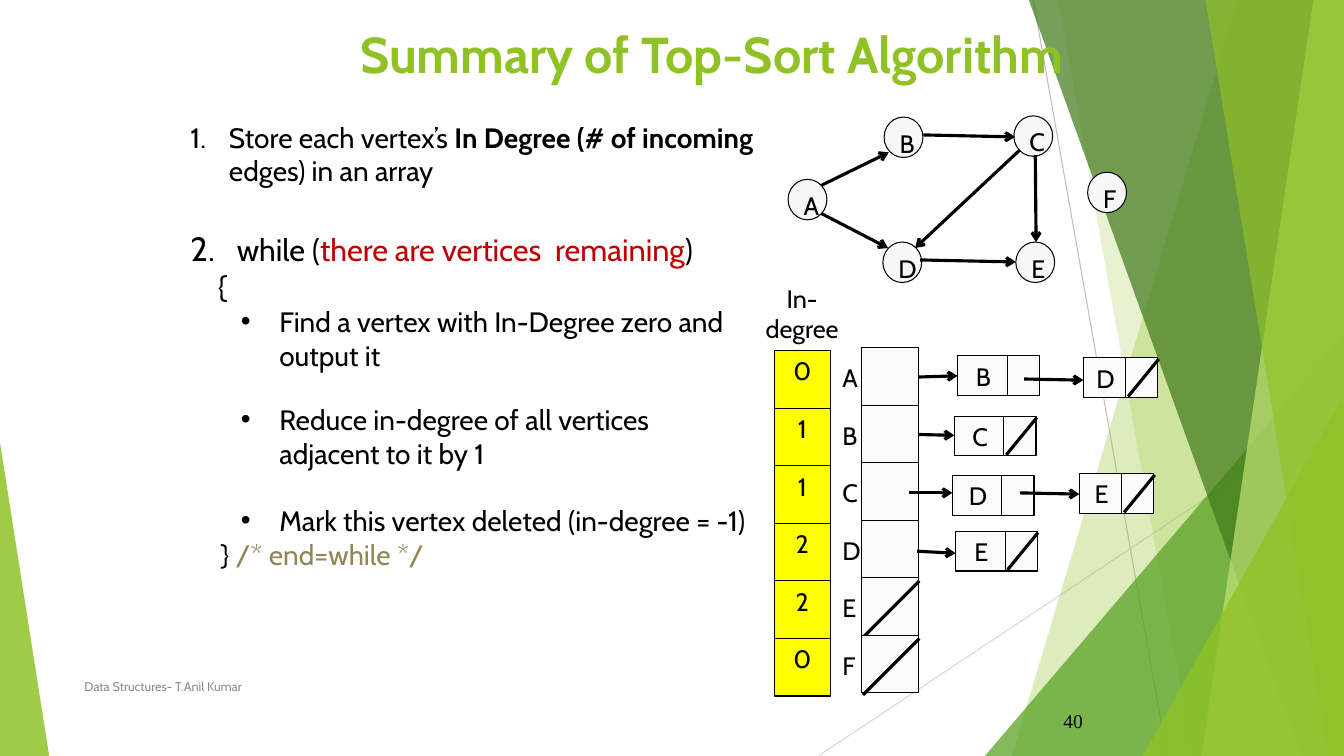
import dataclasses
import itertools

import pptx
import pptx.dml.color
import pptx.enum.shapes
import pptx.enum.text
import pptx.oxml.ns
import pptx.util
from lxml import etree

Cm = pptx.util.Cm
Pt = pptx.util.Pt
SHAPE = pptx.enum.shapes.MSO_SHAPE
ALIGN = pptx.enum.text.PP_ALIGN
ANCHOR = pptx.enum.text.MSO_ANCHOR


@dataclasses.dataclass(frozen=True)
class Theme:
    font: str = "Cabin"
    number_font: str = "Times New Roman"
    ink: str = "000000"
    green: str = "90C226"
    mid_green: str = "54A021"
    dark_green: str = "3F7819"
    pale_green: str = "C0E474"
    red: str = "C00000"
    olive: str = "918655"
    grey: str = "8C8C8C"
    vertex: str = "F7F7F7"
    cell: str = "FBFBFB"
    yellow: str = "FFFF00"
    title_size: float = 36
    loop_size: float = 22
    body_size: float = 20
    label_size: float = 18
    number_size: float = 14
    footer_size: float = 9
    thin: float = 0.75
    thick: float = 2.25


THEME = Theme()
WIDTH, HEIGHT = 33.87, 19.05

# All positions and lengths below are in centimetres.
BACK_LINES = [((26.04, 0), (29.41, HEIGHT), "BFBFBF"), ((WIDTH, 10.24), (20.62, HEIGHT), "D9D9D9")]
# Bands: top x, bottom x. Triangles: left, top, width, apex. Then colour and opacity in percent.
BACKDROP = [
    ((31.19, 25.5), THEME.green, 30),
    ((26.67, 30.05), THEME.green, 20),
    ((24.82, 8.46, 9.04, 1), THEME.mid_green, 72),
    ((25.93, 32.79), THEME.dark_green, 70),
    ((33.1, 30.28), THEME.pale_green, 70),
    ((30.38, 33.48), THEME.green, 65),
    ((28.8, 9.98, 5.06, 1), THEME.green, 80),
    ((0, 11.15, 1.24, 0), THEME.green, 85),
]

TITLE = "Summary of Top-Sort Algorithm"
FOOTER = "Data Structures- T.Anil Kumar"
PAGE = "40"

# Each step: bullet, left margin, first-line indent, space before (points), size, runs.
STEPS = [
    (1, 0.97, -0.97, 0, THEME.body_size,
     [("Store each vertex’s ", {}), ("In Degree (# of incoming ", {"bold": True}),
      ("edges) in an array", {})]),
    (2, 1.17, -1.17, 31, THEME.loop_size,
     [("while (", {}), ("there are vertices  remaining", {"color": THEME.red}), (")", {})]),
    (None, 0.69, 0, 0, THEME.loop_size, [("{", {})]),
    ("•", 2.24, -0.97, 0, THEME.body_size, [("Find a vertex with In-Degree zero and output it", {})]),
    ("•", 2.24, -0.97, 22, THEME.body_size,
     [("Reduce in-degree of all vertices adjacent to it by 1", {})]),
    ("•", 2.24, -0.97, 24, THEME.body_size, [("Mark this vertex deleted (in-degree = -1)", {})]),
    (None, 0.77, 0, 0, THEME.body_size, [("} ", {}), ("/* end=while */", {"color": THEME.olive})]),
]

VERTICES = {"A": (19.86, 4.52), "B": (22.28, 2.95), "C": (25.55, 2.92),
            "D": (22.25, 6.1), "F": (27.41, 4.34), "E": (25.6, 6.1)}
EDGES = [((20.7, 4.67), (22.4, 3.84)), ((23.27, 3.4), (25.58, 3.45)), ((26.09, 3.91), (26.11, 6.1)),
         ((20.7, 5.38), (22.38, 6.25)), ((23.19, 6.55), (25.6, 6.6)), ((25.7, 3.78), (23.06, 6.25))]

# Vertex, in-degree, chain of (letter, left, top, arrow start, height of arrow end).
ADJACENCY = [
    ("A", "0", [("B", 24.13, 8.97, (23.16, 9.5), 9.47), ("D", 27.3, 9.02, (25.81, 9.55), 9.58)]),
    ("B", "1", [("C", 24.05, 10.49, (23.16, 10.95), 10.97)]),
    ("C", "1", [("D", 24, 11.99, (22.91, 12.42), 12.42), ("E", 27.2, 11.94, (25.7, 12.42), 12.45)]),
    ("D", "2", [("E", 24.08, 13.39, (23.11, 13.89), 13.94)]),
    ("E", "2", []),
    ("F", "0", []),
]
ROW, COLUMN = 1.45, 1.42
ARRAY_LEFT, ARRAY_TOP = 21.72, 8.76
DEGREE_LEFT, DEGREE_TOP = 19.51, 8.84
LABEL_LEFT, LABEL_TOP = 20.98, 9.01
KEY_WIDTHS, POINTER, NODE_HEIGHT = (1.3, 1.12), 0.81, 1


def rgb(value):
    return pptx.dml.color.RGBColor.from_string(value)


def add_element(parent, tag, **attributes):
    return etree.SubElement(parent, pptx.oxml.ns.qn(tag), attributes)


def add_run(paragraph, text, color=THEME.ink, **font_values):
    run = paragraph.add_run()
    run.text = text
    values = {"name": THEME.font, "size": Pt(THEME.label_size), "bold": False, **font_values}
    for name, value in values.items():
        setattr(run.font, name, value)
    run.font.color.rgb = rgb(color)


def fill_shape(shape, color, line=None, opacity=None):
    shape.shadow.inherit = False
    shape.fill.solid()
    shape.fill.fore_color.rgb = rgb(color)
    if opacity:
        solid = shape.element.spPr.find(pptx.oxml.ns.qn("a:solidFill"))
        add_element(solid[0], "a:alpha", val=str(opacity * 1000))
    if line:
        shape.line.color.rgb = rgb(line)
        shape.line.width = Pt(THEME.thin)
    else:
        shape.line.fill.background()


def add_box(slide, kind, box, color, text=""):
    shape = slide.shapes.add_shape(kind, *map(Cm, box))
    fill_shape(shape, color, THEME.ink)
    if text:
        shape.text_frame.vertical_anchor = ANCHOR.TOP
        paragraph = shape.text_frame.paragraphs[0]
        paragraph.alignment = ALIGN.CENTER
        add_run(paragraph, text)


def add_line(slide, start, end, color=THEME.ink, width=THEME.thick, arrow=False):
    line = slide.shapes.add_connector(
        pptx.enum.shapes.MSO_CONNECTOR.STRAIGHT, *map(Cm, start + end))
    line.line.color.rgb = rgb(color)
    line.line.width = Pt(width)
    if arrow:
        add_element(line.line._get_or_add_ln(), "a:tailEnd", type="arrow")
    add_element(line.element.spPr, "a:effectLst")


def add_text(slide, box, lines, wrap=True, align=ALIGN.LEFT, anchor=ANCHOR.TOP, **font_values):
    frame = slide.shapes.add_textbox(*map(Cm, box)).text_frame
    frame.word_wrap = wrap
    frame.vertical_anchor = anchor
    if not wrap:
        frame.auto_size = pptx.enum.text.MSO_AUTO_SIZE.SHAPE_TO_FIT_TEXT
    for index, line in enumerate(lines):
        paragraph = frame.add_paragraph() if index else frame.paragraphs[0]
        paragraph.alignment = align
        add_run(paragraph, line, **font_values)
    return frame


def draw_backdrop(slide):
    for start, end, color in BACK_LINES:
        add_line(slide, start, end, color, THEME.thin)
    for outline, color, opacity in BACKDROP:
        if len(outline) == 2:
            top, bottom = outline
            corners = [(top, 0), (WIDTH, 0), (WIDTH, HEIGHT), (bottom, HEIGHT)]
            points = [(Cm(x), Cm(y)) for x, y in corners]
            builder = slide.shapes.build_freeform(*points[0])
            builder.add_line_segments(points[1:], close=True)
            shape = builder.convert_to_shape()
        else:
            left, top, width, apex = outline
            shape = slide.shapes.add_shape(
                SHAPE.ISOSCELES_TRIANGLE, *map(Cm, (left, top, width, HEIGHT - top)))
            shape.adjustments[0] = apex
        fill_shape(shape, color, opacity=opacity)


def draw_title(slide):
    title = slide.shapes.title
    title.element.getparent().append(title.element)  # in front of the backdrop
    title.left, title.top, title.width, title.height = map(Cm, (5.82, 0.38, 24.23, 1.93))
    title.text_frame.vertical_anchor = ANCHOR.MIDDLE
    paragraph = title.text_frame.paragraphs[0]
    paragraph.alignment = ALIGN.CENTER
    add_run(paragraph, TITLE, THEME.green, size=Pt(THEME.title_size), bold=True)


def draw_steps(slide):
    frame = add_text(slide, (4.55, 2.9, 14.71, 15.24), [])
    for index, (bullet, margin, indent, space, size, runs) in enumerate(STEPS):
        paragraph = frame.add_paragraph() if index else frame.paragraphs[0]
        properties = paragraph._p.get_or_add_pPr()
        properties.set("marL", str(Cm(margin)))
        properties.set("indent", str(Cm(indent)))
        if space:
            paragraph.space_before = Pt(space)
        if bullet == "•":
            add_element(properties, "a:buFont", typeface="Arial")
            add_element(properties, "a:buChar", char=bullet)
        elif bullet:
            if size == THEME.loop_size:
                add_element(properties, "a:buSzPct", val="109000")
            add_element(properties, "a:buFont", typeface=THEME.font)
            add_element(properties, "a:buAutoNum", type="arabicPeriod", startAt=str(bullet))
        for text, values in runs:
            add_run(paragraph, text, size=Pt(size), **values)


def draw_graph(slide):
    for letter, place in VERTICES.items():
        add_box(slide, SHAPE.OVAL, (*place, 0.98, 1.02), THEME.vertex, letter)
    for start, end in EDGES:
        add_line(slide, start, end, arrow=True)


def draw_chain(slide, chain):
    for (letter, left, top, _, _), key in zip(chain, KEY_WIDTHS):
        pointer = left + key - 0.05
        add_box(slide, SHAPE.RECTANGLE, (left, top, key, NODE_HEIGHT), THEME.cell, letter)
        add_box(slide, SHAPE.RECTANGLE, (pointer, top, POINTER, NODE_HEIGHT), THEME.cell)
    add_line(slide, (pointer + POINTER + 0.02, top + 0.03), (pointer + 0.06, top + 0.97))
    for _, left, _, start, end_height in chain:
        add_line(slide, start, (left, end_height), arrow=True)


def draw_adjacency(slide):
    add_text(slide, (18.92, 7.01, 2.59, 1.8), ["In-", "degree"], wrap=False, align=ALIGN.CENTER)
    for (letter, degree, chain), step in zip(ADJACENCY, itertools.count(0, ROW)):
        top = ARRAY_TOP + step
        add_box(slide, SHAPE.RECTANGLE, (ARRAY_LEFT, top, COLUMN, ROW), THEME.cell)
        add_box(slide, SHAPE.RECTANGLE, (DEGREE_LEFT, DEGREE_TOP + step, COLUMN, ROW),
                THEME.yellow, degree)
        add_text(slide, (LABEL_LEFT, LABEL_TOP + step, 0.89, 1.02), [letter], wrap=False)
        if chain:
            draw_chain(slide, chain)
        else:
            add_line(slide, (ARRAY_LEFT + 1.45, top + 0.08), (ARRAY_LEFT + 0.03, top + 1.5))


def main():
    presentation = pptx.Presentation()
    presentation.slide_width, presentation.slide_height = Cm(WIDTH), Cm(HEIGHT)
    slide = presentation.slides.add_slide(presentation.slide_layouts[5])
    draw_backdrop(slide)
    draw_title(slide)
    add_text(slide, (21.82, 17.65, 5.72, 1.02), [PAGE], align=ALIGN.RIGHT, anchor=ANCHOR.MIDDLE,
             name=THEME.number_font, size=Pt(THEME.number_size))
    draw_graph(slide)
    draw_steps(slide)
    draw_adjacency(slide)
    add_text(slide, (1.88, 16.79, 17.5, 1.02), [FOOTER], anchor=ANCHOR.MIDDLE,
             color=THEME.grey, size=Pt(THEME.footer_size))
    presentation.save("out.pptx")


if __name__ == "__main__":
    main()
